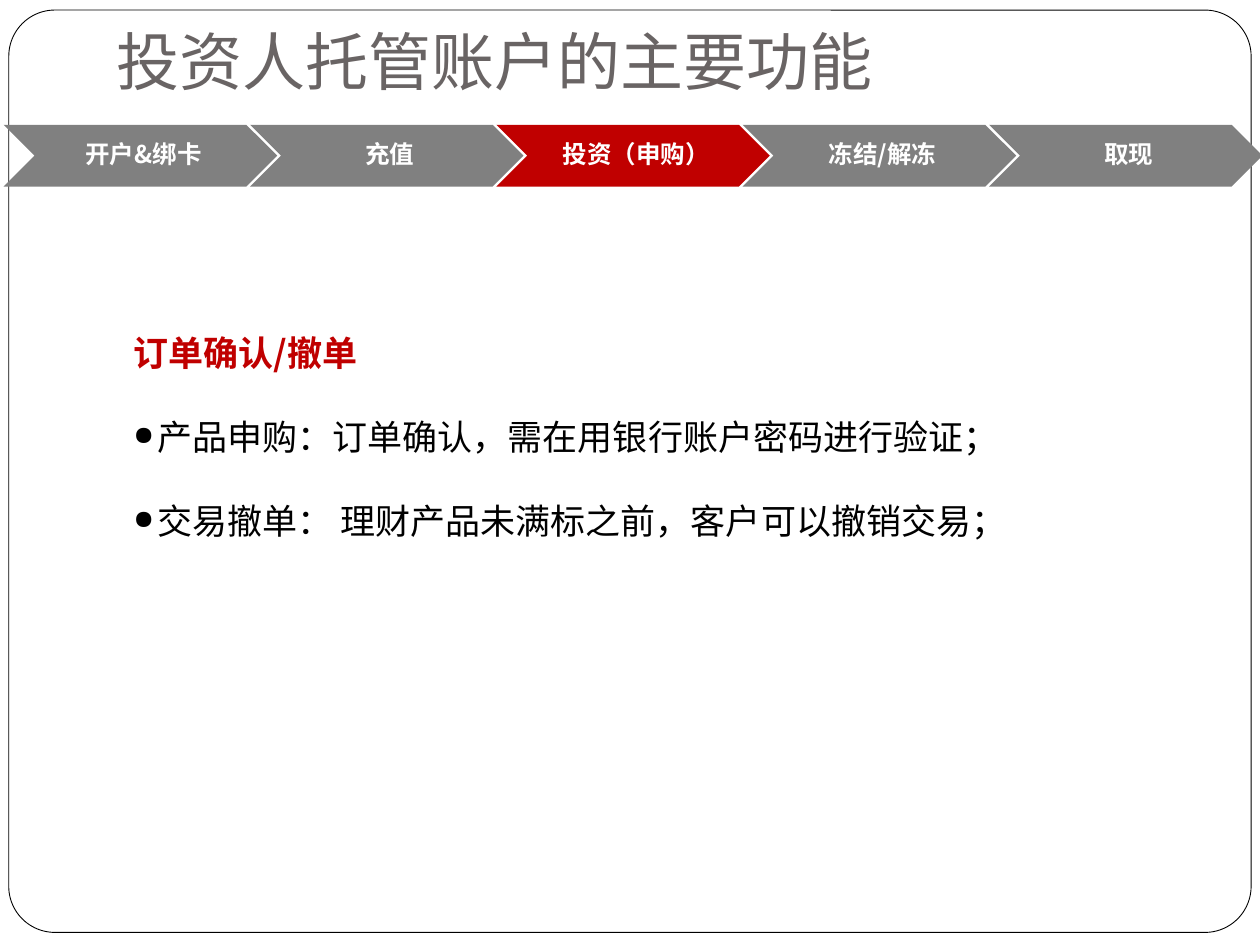
from pptx import Presentation
from pptx.dml.color import RGBColor
from pptx.enum.shapes import MSO_SHAPE
from pptx.enum.text import MSO_ANCHOR, PP_ALIGN
from pptx.oxml.ns import qn
from pptx.util import Inches, Pt
from lxml import etree

ROUND, CHEVRON = MSO_SHAPE.ROUNDED_RECTANGLE, MSO_SHAPE.CHEVRON
TOP, MIDDLE = MSO_ANCHOR.TOP, MSO_ANCHOR.MIDDLE
LEFT, CENTER = PP_ALIGN.LEFT, PP_ALIGN.CENTER
SANS, KARLA = "Noto Sans CJK SC", "Karla"
GRAY, RED, WHITE, BLACK = "808080", "C00000", "FFFFFF", "000000"
STEPS = ["开户&绑卡", "充值", "投资（申购）", "冻结/解冻", "取现"]
ACTIVE = 2
POINTS = ["产品申购：订单确认，需在用银行账户密码进行验证；",
          "交易撤单： 理财产品未满标之前，客户可以撤销交易；"]


def color(code):
    """Turn a hex string into a colour."""
    return RGBColor.from_string(code)


def add_box(slide, kind, box, fill, line=None):
    """Add a filled preset shape, outlined only if a line colour is given."""
    shape = slide.shapes.add_shape(kind, *map(Inches, box))
    shape.shadow.inherit = False
    shape.fill.solid()
    shape.fill.fore_color.rgb = color(fill)
    if line:
        shape.line.color.rgb = color(line)
        shape.line.width = Pt(0.5)
    else:
        shape.line.fill.background()
    return shape


def add_frame(slide, box, inset=(0.1, 0.05, 0.1, 0.05), anchor=TOP):
    """Add a wrapping text box and return its text frame."""
    frame = slide.shapes.add_textbox(*map(Inches, box)).text_frame
    frame.word_wrap = True
    frame.vertical_anchor = anchor
    (frame.margin_left, frame.margin_top,
     frame.margin_right, frame.margin_bottom) = map(Inches, inset)
    return frame


def add_text(frame, text, size=20, font=SANS, fill=BLACK, bold=False,
             align=LEFT, space=1.0, bullet=None):
    """Write one paragraph, using the first one while it is empty."""
    para = frame.paragraphs[0]
    if para.runs:
        para = frame.add_paragraph()
    para.alignment = align
    para.line_spacing = space
    run = para.add_run()
    run.text = text
    run.font.size = Pt(size)
    run.font.name = font
    run.font.bold = bold
    run.font.color.rgb = color(fill)
    east = etree.SubElement(run.font._element, qn("a:ea"))
    east.set("typeface", font)
    if bullet:
        add_bullet(para, bullet)


def add_bullet(para, mark):
    """Give a paragraph a small bullet with a hanging indent."""
    props = para._p.get_or_add_pPr()
    props.set("marL", str(Inches(0.19)))
    props.set("indent", str(-Inches(0.19)))
    etree.SubElement(props, qn("a:buSzPct")).set("val", "75000")
    etree.SubElement(props, qn("a:buChar")).set("char", mark)


def add_step(slide, index, name):
    """Add one chevron of the process bar with its label."""
    left = 0.03 + index * 1.955
    fill = RED if index == ACTIVE else GRAY
    add_box(slide, CHEVRON, (left, 0.99, 2.17, 0.49), fill)
    label = add_frame(slide, (left + 0.25, 0.99, 1.68, 0.49),
                      inset=(0.06, 0.02, 0.02, 0.02), anchor=MIDDLE)
    add_text(label, name, size=14, fill=WHITE, bold=True,
             align=CENTER, space=0.9)


def main():
    """Build the slide and save it."""
    deck = Presentation()
    deck.slide_width, deck.slide_height = Inches(10), Inches(7.5)
    slide = deck.slides.add_slide(deck.slide_layouts[6])

    border = add_box(slide, ROUND, (0.07, 0.08, 9.86, 7.32), WHITE, BLACK)
    border.adjustments[0] = 0.05

    body = add_frame(slide, (0.96, 2.25, 7.67, 2.79))
    add_text(body, "订单确认/撤单", fill=RED, bold=True, space=2.0)
    for point in POINTS:
        add_text(body, point, space=2.0, bullet="●")

    for index, name in enumerate(STEPS):
        add_step(slide, index, name)

    title = add_frame(slide, (0.83, 0.13, 8.5, 1.25))
    add_text(title, "投资人托管账户的主要功能", size=36, font=KARLA,
             fill="696464")
    deck.save("out.pptx")


main()
